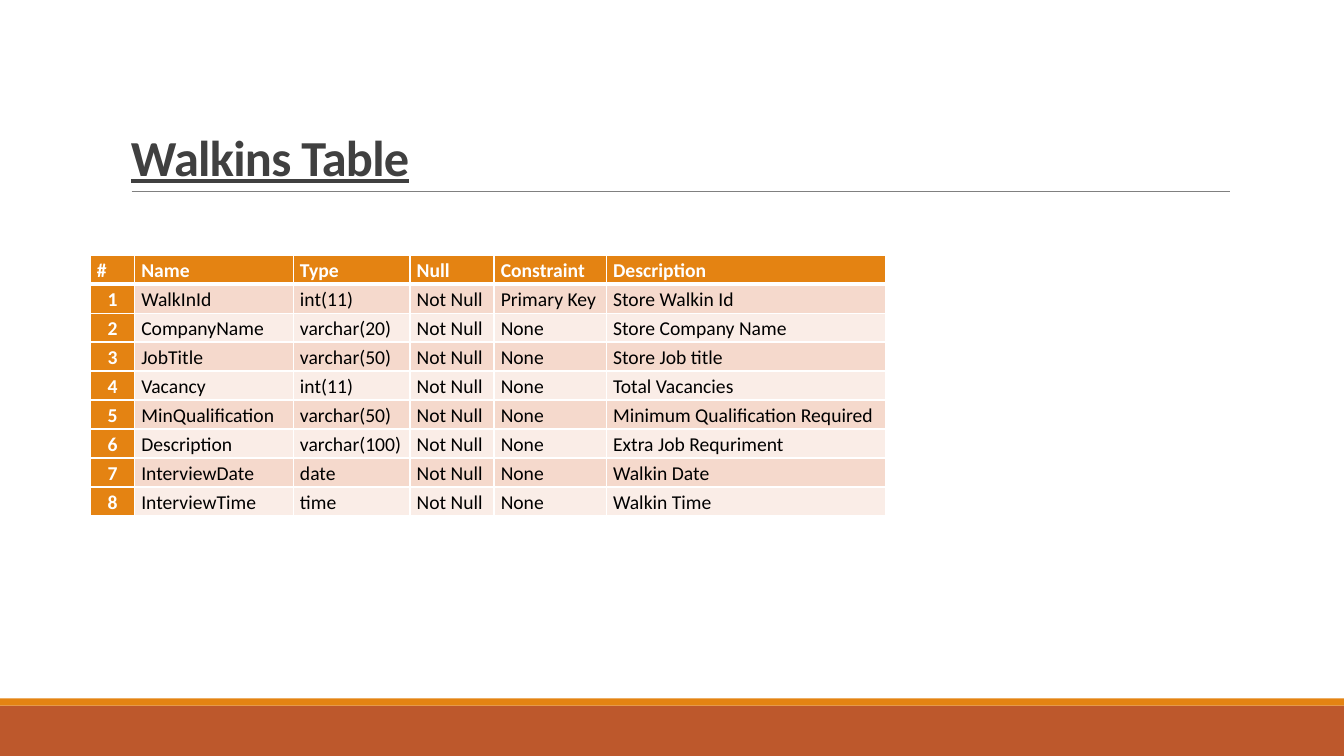
from lxml import etree
from pptx import Presentation
from pptx.dml.color import RGBColor
from pptx.enum import shapes, text
from pptx.oxml import ns
from pptx.util import Cm, Pt

ORANGE = RGBColor(0xE4, 0x83, 0x12)
RUST = RGBColor(0xBD, 0x58, 0x2C)
GREY = RGBColor(0x80, 0x80, 0x80)
CHARCOAL = RGBColor(0x40, 0x40, 0x40)
WHITE = RGBColor(0xFF, 0xFF, 0xFF)
BLACK = RGBColor(0x00, 0x00, 0x00)
PEACH = RGBColor(0xF5, 0xD9, 0xCC)
PALE = RGBColor(0xFA, 0xED, 0xE7)

HEADINGS = ["#", "Name", "Type", "Null", "Constraint", "Description"]
FIELDS = [
    ("WalkInId", "int(11)", "Primary Key", "Store Walkin Id"),
    ("CompanyName", "varchar(20)", "None", "Store Company Name"),
    ("JobTitle", "varchar(50)", "None", "Store Job title"),
    ("Vacancy", "int(11)", "None", "Total Vacancies"),
    ("MinQualification", "varchar(50)", "None", "Minimum Qualification Required"),
    ("Description", "varchar(100)", "None", "Extra Job Requriment"),
    ("InterviewDate", "date", "None", "Walkin Date"),
    ("InterviewTime", "time", "None", "Walkin Time"),
]
COLUMN_WIDTHS = [1.12, 4, 2.94, 2.12, 2.83, 7.03]
ROW_HEIGHT = 0.73


def add_border(cell, side, points):
    line = etree.SubElement(cell._tc.get_or_add_tcPr(), ns.qn("a:" + side), w=str(Pt(points)))
    fill = etree.SubElement(line, ns.qn("a:solidFill"))
    etree.SubElement(fill, ns.qn("a:srgbClr"), val=str(WHITE))


prs = Presentation()
prs.slide_width, prs.slide_height = Cm(33.87), Cm(19.05)
slide = prs.slides.add_slide(prs.slide_layouts[6])

# Footer bands
for top, height, colour in [(17.78, 1.27, RUST), (17.6, 0.18, ORANGE)]:
    band = slide.shapes.add_shape(
        shapes.MSO_SHAPE.RECTANGLE, 0, Cm(top), prs.slide_width, Cm(height))
    band.shadow.inherit = False
    band.fill.solid()
    band.fill.fore_color.rgb = colour
    band.line.fill.background()

# Rule under the title
rule = slide.shapes.add_connector(
    shapes.MSO_CONNECTOR.STRAIGHT, Cm(3.32), Cm(4.82), Cm(31), Cm(4.82))
rule.line.color.rgb = GREY
rule.line.width = Pt(0.5)
etree.SubElement(rule._element.spPr, ns.qn("a:effectLst"))

# Title
title = slide.shapes.add_textbox(Cm(3.05), Cm(0.79), Cm(27.94), Cm(4.03)).text_frame
title.word_wrap = True
title.vertical_anchor = text.MSO_ANCHOR.BOTTOM
title.text = "Walkins Table"
title.paragraphs[0].line_spacing = 0.85
title_run = title.paragraphs[0].runs[0]
title_run.font.name = "Calibri"
title_run.font.size = Pt(36)
title_run.font.bold = True
title_run.font.underline = True
title_run.font.color.rgb = CHARCOAL
title_run.font._element.set("spc", "-50")

# Field table
rows = [HEADINGS] + [
    (str(number), name, kind, "Not Null", constraint, description)
    for number, (name, kind, constraint, description) in enumerate(FIELDS, 1)]
fields = slide.shapes.add_table(
    len(rows), len(HEADINGS), Cm(2.27), Cm(6.43),
    Cm(sum(COLUMN_WIDTHS)), Cm(ROW_HEIGHT * len(rows))).table
fields.first_col = True
for column, width in zip(fields.columns, COLUMN_WIDTHS):
    column.width = Cm(width)

for r, values in enumerate(rows):
    fields.rows[r].height = Cm(ROW_HEIGHT)
    for c, value in enumerate(values):
        cell = fields.cell(r, c)
        is_heading = r == 0 or c == 0
        is_number = r > 0 and c == 0

        # Borders and fill
        add_border(cell, "lnL", 1)
        add_border(cell, "lnR", 1)
        add_border(cell, "lnT", 3 if r == 1 else 1)
        add_border(cell, "lnB", 3 if r == 0 else 1)
        cell.fill.solid()
        cell.fill.fore_color.rgb = ORANGE if is_heading else PEACH if r % 2 else PALE

        # Text
        cell.margin_left = Cm(0.17)
        cell.margin_right = Cm(0.43 if is_number else 0.12)
        cell.margin_top = cell.margin_bottom = Cm(0.04)
        cell.vertical_anchor = text.MSO_ANCHOR.MIDDLE
        cell.text_frame.text = value
        paragraph = cell.text_frame.paragraphs[0]
        paragraph.alignment = text.PP_ALIGN.RIGHT if is_number else text.PP_ALIGN.LEFT
        paragraph.line_spacing = 1.07
        font = paragraph.runs[0].font
        font.name = "Calibri"
        font.size = Pt(14)
        font.bold = is_heading
        font.color.rgb = WHITE if is_heading else BLACK

prs.save("out.pptx")
